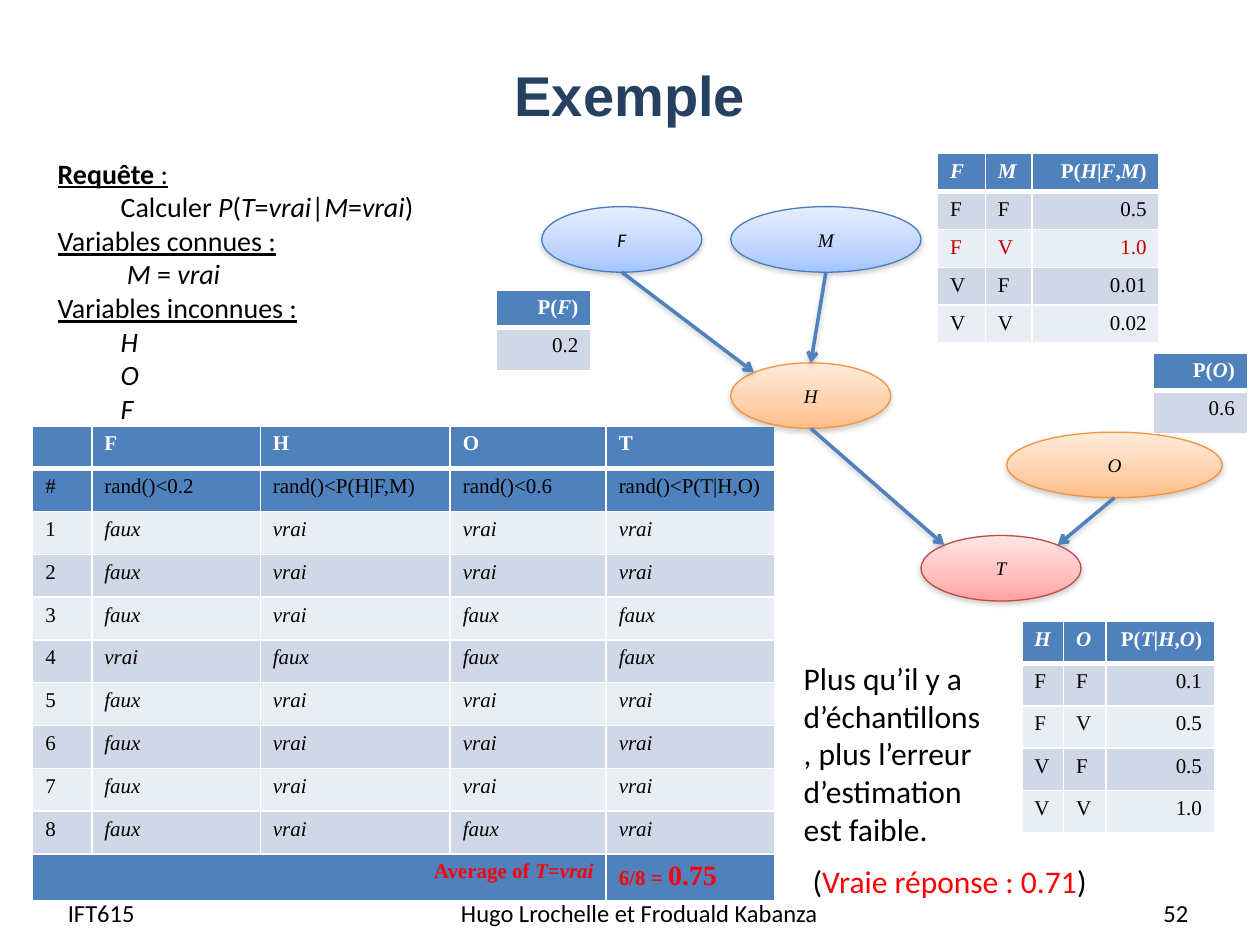
from lxml import etree
from pptx import Presentation
from pptx import util as u
from pptx.dml.color import RGBColor
from pptx.enum import shapes, text
from pptx.oxml import ns, parse_xml

# Grid of 100 columns by 75 rows over the slide
WIDTH, HEIGHT = u.Inches(10), u.Inches(7.5)
COLUMN, ROW = WIDTH / 100, HEIGHT / 75

NAVY = RGBColor(0x25, 0x40, 0x61)
BLACK = RGBColor(0, 0, 0)
WHITE = RGBColor(0xFF, 0xFF, 0xFF)
RED = RGBColor(0xFF, 0, 0)
DARK_RED = RGBColor(0xC0, 0, 0)
BLUE = RGBColor(0x4F, 0x81, 0xBD)
BANDS = [RGBColor(0xD0, 0xD8, 0xE8), RGBColor(0xE9, 0xED, 0xF4)]
GREY = RGBColor(0x80, 0x80, 0x80)


def palette(line, *stops):
    return RGBColor.from_string(line), [RGBColor.from_string(s) for s in stops]


# Outline, then gradient from top to bottom
EVIDENCE = palette("4A7EBB", "E5EEFF", "BFD5FF", "A3C4FF")
HIDDEN = palette("F69240", "FFEBDB", "FFD0AA", "FFBE86")
QUERY = palette("BE4B48", "FFE5E5", "FFBEBD", "FFA2A1")

SERIF, SANS = "Times New Roman", "Calibri"
LEFT, CENTER, RIGHT = text.PP_ALIGN.LEFT, text.PP_ALIGN.CENTER, text.PP_ALIGN.RIGHT


def place(box):
    left, top, width, height = box
    return (u.Emu(int(left * COLUMN)), u.Emu(int(top * ROW)),
            u.Emu(int(width * COLUMN)), u.Emu(int(height * ROW)))


def write(paragraph, words, *, size, font=SANS, color=BLACK, bold=False,
          underline=False, align=LEFT, indent=0):
    """Append words to the paragraph; asterisks enclose italics."""
    paragraph.alignment = align
    if indent:
        properties = paragraph._p.get_or_add_pPr()
        properties.set("marL", str(int(indent * COLUMN)))
        properties.set("indent", "0")
    if not words:
        end = etree.SubElement(paragraph._p, ns.qn("a:endParaRPr"))
        end.set("sz", str(size * 100))
    for number, part in enumerate(words.split("*")):
        if part:
            run = paragraph.add_run()
            run.text = part
            run.font.size, run.font.name = u.Pt(size), font
            run.font.bold, run.font.italic = bold, number % 2 == 1
            run.font.underline = underline
            run.font.color.rgb = color


def add_text(slide, box, words="", *, wrap=True, anchor=text.MSO_ANCHOR.TOP, **style):
    frame = slide.shapes.add_textbox(*place(box)).text_frame
    frame.word_wrap, frame.vertical_anchor = wrap, anchor
    if words:
        write(frame.paragraphs[0], words, **style)
    return frame


def add_shadow(shape):
    shape._element.spPr.append(parse_xml(
        f'<a:effectLst {ns.nsdecls("a")}><a:outerShdw blurRad="{u.Pt(3.1)}" '
        f'dist="{u.Pt(1.6)}" dir="5400000" rotWithShape="0"><a:srgbClr val="{GREY}">'
        '<a:alpha val="38000"/></a:srgbClr></a:outerShdw></a:effectLst>'))


# Tables
def set_borders(cell, top, bottom):
    properties = cell._tc.get_or_add_tcPr()
    sides = {"lnL": 1, "lnR": 1, "lnT": top, "lnB": bottom}
    for position, (side, points) in enumerate(sides.items()):
        properties.insert(position, parse_xml(
            f'<a:{side} {ns.nsdecls("a")} w="{u.Pt(points)}"><a:solidFill>'
            f'<a:srgbClr val="{WHITE}"/></a:solidFill></a:{side}>'))


def add_table(slide, box, rows, widths, heights, *, numeric=True,
              blue_rows=(0,), first_band=0, red_row=None):
    """Column widths and row heights are weights within the box."""
    left, top, width, height = place(box)
    table = slide.shapes.add_table(len(rows), len(widths), left, top, width, height).table
    table.horz_banding = False
    for column, weight in zip(table.columns, widths):
        column.width = u.Emu(int(width * weight / sum(widths)))
    for row, weight in zip(table.rows, heights):
        row.height = u.Emu(int(height * weight / sum(heights)))
    for r, row in enumerate(rows):
        for c, words in enumerate(row):
            cell = table.cell(r, c)
            cell.fill.solid()
            cell.fill.fore_color.rgb = BLUE if r in blue_rows else BANDS[(r - 1 + first_band) % 2]
            set_borders(cell, 3 if r == 1 else 1, 3 if r == 0 else 1)
            color = WHITE if r == 0 else DARK_RED if r == red_row else BLACK
            last = numeric and c == len(row) - 1
            write(cell.text_frame.paragraphs[0], words, size=12, font=SERIF, color=color,
                  bold=r == 0, align=RIGHT if last else LEFT)
    return table


def add_samples(slide, box):
    draws = ["fvvv", "fvvv", "fvff", "vfff", "fvvv", "fvvv", "fvvv", "fvfv"]
    values = {"f": "*faux*", "v": "*vrai*"}
    rows = [["", "F", "H", "O", "T"],
            ["#", "rand()<0.2", "rand()<P(H|F,M)", "rand()<0.6", "rand()<P(T|H,O)"]]
    rows += [[str(n)] + [values[d] for d in draw] for n, draw in enumerate(draws, 1)]
    rows.append([""] * 5)
    total = len(rows) - 1
    table = add_table(slide, box, rows, [4.7, 13.4, 15.1, 12.4, 13.4], [3.4] * total + [3.7],
                      numeric=False, blue_rows=(0, 1, total))
    # Summary row
    table.cell(total, 0).merge(table.cell(total, 3))
    style = dict(font=SERIF, color=RED, bold=True)
    for column in (0, 4):
        paragraph = table.cell(total, column).text_frame.paragraphs[0]
        paragraph._p.remove(paragraph._p.find(ns.qn("a:endParaRPr")))
        if column == 0:
            write(paragraph, "Average of *T*=*vrai*", size=12, align=RIGHT, **style)
        else:
            write(paragraph, "6/8 = ", size=12, **style)
            write(paragraph, "0.75", size=16, **style)


def add_probabilities(slide):
    for box, name, value in [((39.4, 23, 7.5, 6.4), "F", "0.2"), ((91.5, 28, 7.5, 6.4), "O", "0.6")]:
        add_table(slide, box, [[f"P(*{name}*)"], [value]], [1], [3, 3.4])
    pairs = ["FF", "FV", "VF", "VV"]
    for box, names, values, widths, red_row in [
            ((81.1, 49.3, 15.3, 16.8), "THO", ["0.1", "0.5", "0.5", "1.0"], [3.3, 3.4, 8.6], None),
            ((74.4, 12.2, 17.6, 15), "HFM", ["0.5", "1.0", "0.01", "0.02"], [3.8, 3.7, 10.1], 2)]:
        child, first, second = names
        rows = [[f"*{first}*", f"*{second}*", f"P(*{child}*|*{first}*,*{second}*)"]]
        rows += [[*pair, value] for pair, value in zip(pairs, values)]
        add_table(slide, box, rows, widths, [1] * len(rows), red_row=red_row)


# Bayesian network
def add_node(slide, box, name, colors, font=SERIF):
    line, stops = colors
    node = slide.shapes.add_shape(shapes.MSO_SHAPE.OVAL, *place(box))
    node.fill.gradient()
    node.fill.gradient_angle = 270
    stop_list = node._element.spPr.find(".//" + ns.qn("a:gsLst"))
    for old in list(stop_list):
        stop_list.remove(old)
    for share, color in zip((0, 65, 100), stops):
        stop_list.append(parse_xml(f'<a:gs {ns.nsdecls("a")} pos="{share * 1000}">'
                                   f'<a:srgbClr val="{color}"/></a:gs>'))
    node.line.color.rgb, node.line.width = line, u.Pt(0.75)
    add_shadow(node)
    node.text_frame.vertical_anchor = text.MSO_ANCHOR.MIDDLE
    write(node.text_frame.paragraphs[0], f"*{name}*", size=11, font=font, align=CENTER)


def rim(box, x, y):
    """Point on the ellipse in direction x, y from its centre."""
    left, top, width, height = box
    return left + width * (1 + x) / 2, top + height * (1 + y) / 2


def add_arrow(slide, start, end):
    points = [u.Emu(int(v * unit)) for point in (start, end) for v, unit in zip(point, (COLUMN, ROW))]
    arrow = slide.shapes.add_connector(shapes.MSO_CONNECTOR.STRAIGHT, *points)
    arrow.line.color.rgb, arrow.line.width = BLUE, u.Pt(2)
    etree.SubElement(arrow.line._get_or_add_ln(), ns.qn("a:tailEnd")).set("type", "arrow")
    add_shadow(arrow)


def add_network(slide):
    nodes = {"F": (43, 16.4, 12.7, 5.2), "M": (58, 16.4, 15.1, 5.2), "H": (58, 28.8, 12.7, 5.2),
             "O": (79.9, 34.3, 17.1, 5.2), "T": (73.1, 42.5, 12.7, 5.2)}
    colors = {"F": EVIDENCE, "M": EVIDENCE, "H": HIDDEN, "O": HIDDEN, "T": QUERY}
    for name, box in nodes.items():
        add_node(slide, box, name, colors[name], SANS if name == "F" else SERIF)
    for parent, child, x, y in [("F", "H", -0.71, -0.71), ("M", "H", 0, -1),
                                ("H", "T", -0.71, -0.71), ("O", "T", 0.71, -0.71)]:
        add_arrow(slide, rim(nodes[parent], 0, 1), rim(nodes[child], x, y))


# Texts
def add_title(slide, box):
    title = slide.shapes.title
    title.left, title.top, title.width, title.height = place(box)
    title.text_frame.vertical_anchor = text.MSO_ANCHOR.MIDDLE
    write(title.text_frame.paragraphs[0], "Exemple", size=32, font="Arial", color=NAVY,
          bold=True, align=CENTER)


def add_request(slide, box):
    frame = add_text(slide, box)
    first = frame.paragraphs[0]
    write(first, "Requête", size=16, bold=True, underline=True)
    write(first, " :", size=16, underline=True)
    for words, indent in [("Calculer P(T=vrai|M=vrai)", 5), ("Variables connues :", 0),
                          ("*M* = *vrai*", 5.5), ("Variables inconnues :", 0),
                          ("*H*", 5), ("*O*", 5), ("*F*", 5)]:
        if words.startswith("Calculer"):
            words = "Calculer *P*(*T*=*vrai*|*M*=*vrai*)"
        write(frame.add_paragraph(), words, size=16, underline=indent == 0, indent=indent)


def add_remarks(slide):
    add_text(slide, (62.8, 51.8, 16.2, 16.1),
             "Plus qu’il y a d’échantillons, plus l’erreur d’estimation est faible.", size=18)
    answer = add_text(slide, (63.5, 67.9, 24.9, 4), wrap=False).paragraphs[0]
    for words, color in [("(", BLACK), ("Vraie réponse : 0.71", RED), (")", BLACK)]:
        write(answer, words, size=18, color=color)


def add_footer(slide, top, height):
    for left, width, words, align in [(4.4, 19.3, "IFT615", LEFT),
                                      (34.9, 31.7, "Hugo Lrochelle et Froduald Kabanza", CENTER),
                                      (72, 23.3, "52", RIGHT)]:
        add_text(slide, (left, top, width, height), words, size=14, align=align,
                 anchor=text.MSO_ANCHOR.MIDDLE)


def main():
    presentation = Presentation()
    presentation.slide_width, presentation.slide_height = WIDTH, HEIGHT
    slide = presentation.slides.add_slide(presentation.slide_layouts.get_by_name("Title Only"))
    add_title(slide, (5, 1.2, 90, 12.5))
    add_footer(slide, 70.4, 4)
    add_samples(slide, (2.6, 33.8, 58.9, 37.7))
    add_request(slide, (3.6, 11.9, 32.3, 22.6))
    add_network(slide)
    add_probabilities(slide)
    add_remarks(slide)
    presentation.save("out.pptx")


if __name__ == "__main__":
    main()
